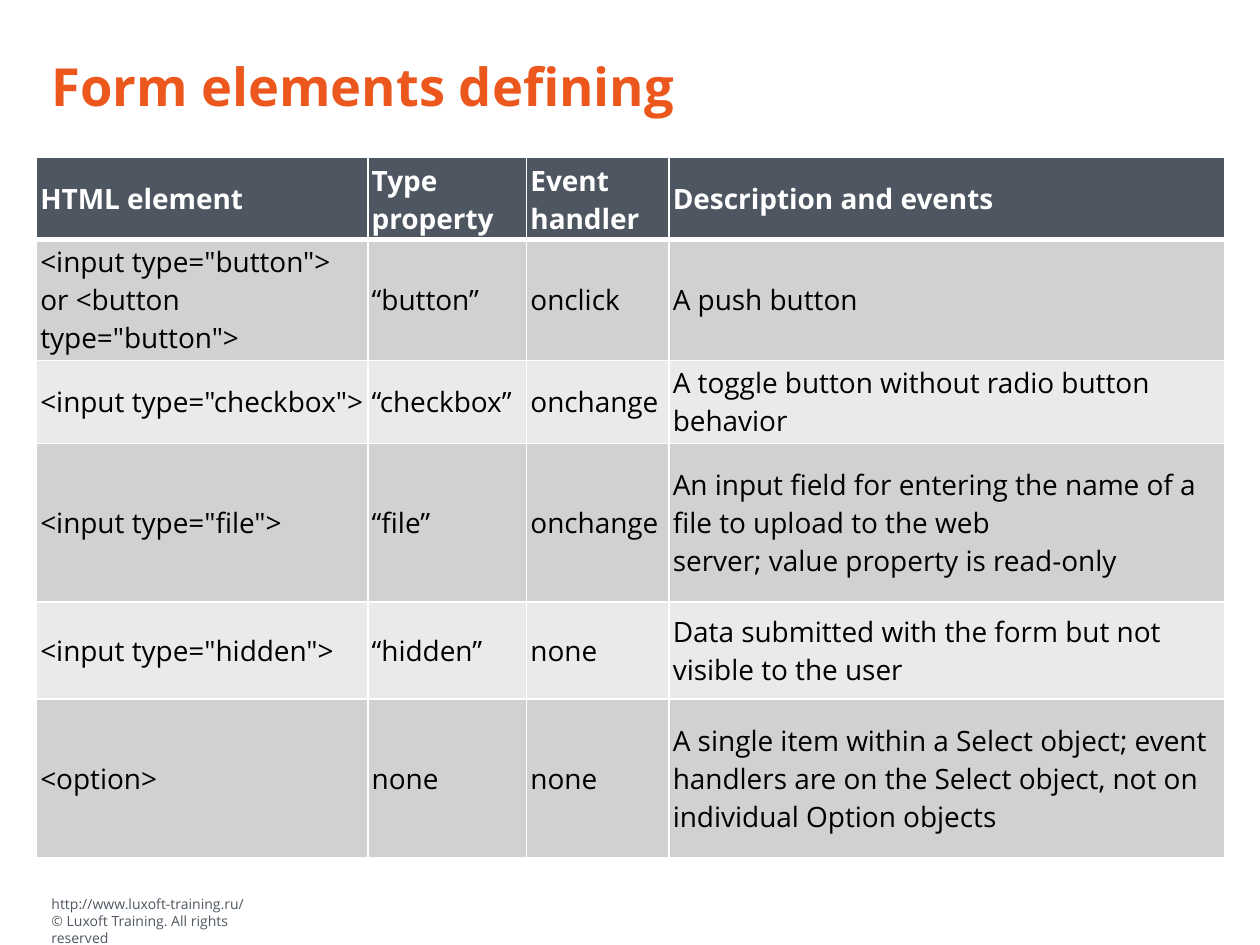
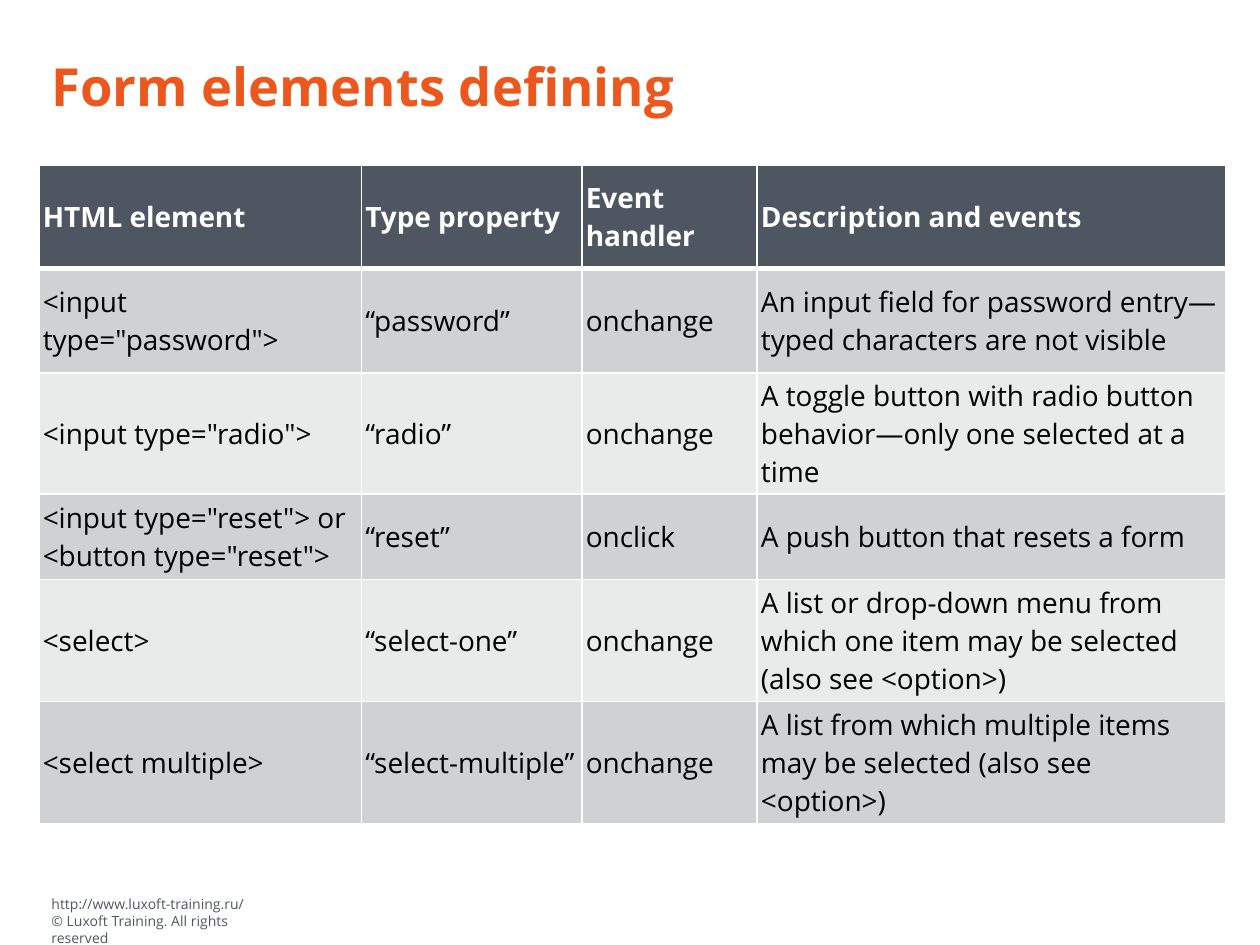
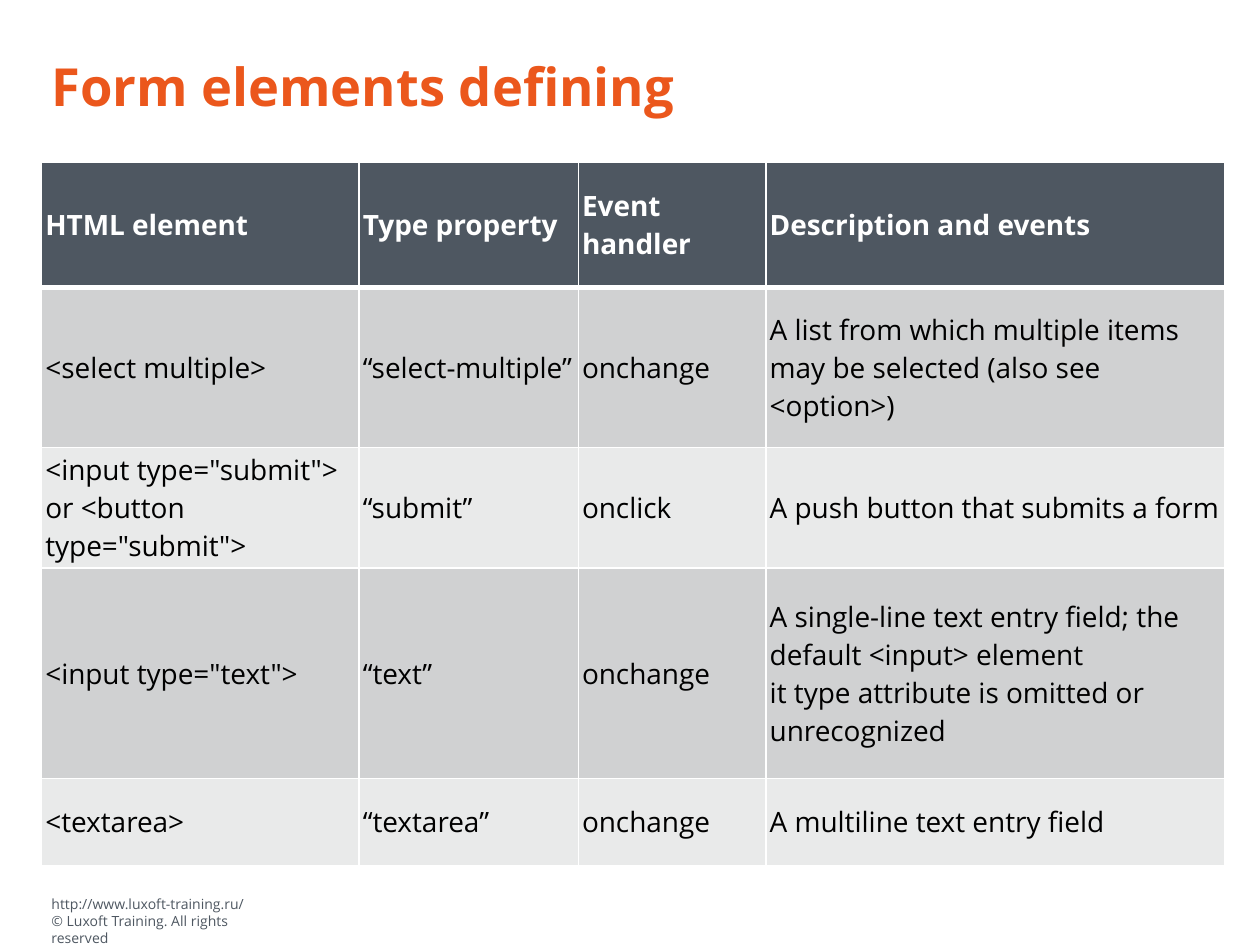
import pptx
import pptx.dml.color
import pptx.enum.text
import pptx.oxml
import pptx.oxml.ns
import pptx.util

Inches = pptx.util.Inches
Pt = pptx.util.Pt

COLORS = {
    "orange": "EB571C",
    "slate": "4E5761",
    "white": "FFFFFF",
    "black": "000000",
    "dark_band": "D0D1D2",
    "light_band": "E9EAEA",
}
FONT = "Open Sans"
NO_BREAK_SPACE = chr(160)
TITLE = "Form elements defining"
FOOTER = ["http://www.luxoft-training.ru/", "© Luxoft Training. All rights reserved"]
HEADER = ["HTML element", "Type property", "Event handler", "Description and events"]
TITLE_FORMAT = {"size": Pt(30), "bold": True, "color": "orange"}
FOOTER_FORMAT = {"size": Pt(8), "bold": False, "color": "slate"}
HEADER_FORMAT = {"size": Pt(16), "bold": True, "color": "white"}
BODY_FORMAT = {"size": Pt(16), "bold": False, "color": "black"}
CELL_LAYOUT = {
    "margin_left": Inches(0.03),
    "margin_right": Inches(0.03),
    "margin_top": Inches(0.03),
    "margin_bottom": Inches(0.03),
    "vertical_anchor": pptx.enum.text.MSO_ANCHOR.MIDDLE,
}

TABLES = [
    {
        "position": (0.29, 1.25),
        "columns": [2.63, 1.26, 1.13, 4.41],
        "rows": [0.65, 0.96, 0.66, 1.26, 0.77, 1.26],
        "body": [
            ['<input type="button"> or <button type="button">', "“button”", "onclick", "A push button"],
            ['<input type="checkbox">', "“checkbox”", "onchange",
             "A toggle button without radio button behavior"],
            ['<input type="file">', "“file”", "onchange",
             "An input field for entering the name of a file to upload to the web "
             f"server;{NO_BREAK_SPACE}value{NO_BREAK_SPACE}property is read-only"],
            ['<input type="hidden">', "“hidden”", "none",
             "Data submitted with the form but not visible to the user"],
            ["<option>", "none", "none",
             "A single item within a Select object; event handlers are on the Select object, "
             "not on individual Option objects"],
        ],
    },
    {
        "position": (0.31, 1.31),
        "columns": [2.56, 1.75, 1.39, 3.72],
        "rows": [0.82, 0.83, 0.96, 0.68, 0.97, 0.97],
        "body": [
            ['<input type="password">', "“password”", "onchange",
             "An input field for password entry—typed characters are not visible"],
            ['<input type="radio">', "“radio”", "onchange",
             "A toggle button with radio button behavior—only one selected at a time"],
            ['<input type="reset"> or <button type="reset">', "“reset”", "onclick",
             "A push button that resets a form"],
            ["<select>", "“select-one”", "onchange",
             "A list or drop-down menu from which one item may be selected (also see <option>)"],
            ["<select multiple>", "“select-multiple”", "onchange",
             "A list from which multiple items may be selected (also see <option>)"],
        ],
    },
    {
        "position": (0.33, 1.29),
        "columns": [2.52, 1.74, 1.49, 3.64],
        "rows": [0.99, 1.27, 0.96, 1.67, 0.69],
        "body": [
            ["<select multiple>", "“select-multiple”", "onchange",
             "A list from which multiple items may be selected (also see <option>)"],
            ['<input type="submit"> or <button type="submit">', "“submit”", "onclick",
             "A push button that submits a form"],
            ['<input type="text">', "“text”", "onchange",
             "A single-line text entry field; the default <input> element "
             f"it{NO_BREAK_SPACE}type{NO_BREAK_SPACE}attribute is omitted or unrecognized"],
            ["<textarea>", "“textarea”", "onchange", "A multiline text entry field"],
        ],
    },
]


def write_text(text_frame, lines, text_format):
    text_frame.word_wrap = True
    text_frame.text = "\n".join(lines)
    for paragraph in text_frame.paragraphs:
        for run in paragraph.runs:
            run.font.name = FONT
            run.font.size = text_format["size"]
            run.font.bold = text_format["bold"]
            run.font.color.rgb = pptx.dml.color.RGBColor.from_string(COLORS[text_format["color"]])


def style_cell(cell, fill_color, border_widths):
    for name, value in CELL_LAYOUT.items():
        setattr(cell, name, value)
    properties = cell._tc.get_or_add_tcPr()
    for side, width in border_widths.items():
        properties.append(pptx.oxml.parse_xml(
            f'<a:ln{side} {pptx.oxml.ns.nsdecls("a")} w="{Pt(width)}"><a:solidFill>'
            f'<a:srgbClr val="{COLORS["white"]}"/></a:solidFill></a:ln{side}>'
        ))
    cell.fill.solid()
    cell.fill.fore_color.rgb = pptx.dml.color.RGBColor.from_string(COLORS[fill_color])


presentation = pptx.Presentation()
presentation.slide_width = Inches(10)
presentation.slide_height = Inches(7.5)

for content in TABLES:
    slide = presentation.slides.add_slide(presentation.slide_layouts[6])

    footer = slide.shapes.add_textbox(Inches(0.31), Inches(7.06), Inches(2.03), Inches(0.37))
    write_text(footer.text_frame, FOOTER, FOOTER_FORMAT)

    title = slide.shapes.add_textbox(Inches(0.31), Inches(0.4), Inches(9.4), Inches(0.55))
    title.text_frame.vertical_anchor = pptx.enum.text.MSO_ANCHOR.MIDDLE
    write_text(title.text_frame, [TITLE], TITLE_FORMAT)

    left, top = content["position"]
    rows = [HEADER] + content["body"]
    table = slide.shapes.add_table(
        len(rows), len(HEADER), Inches(left), Inches(top),
        Inches(sum(content["columns"])), Inches(sum(content["rows"])),
    ).table
    for column, width in zip(table.columns, content["columns"]):
        column.width = Inches(width)
    for row, height in zip(table.rows, content["rows"]):
        row.height = Inches(height)

    for row_index, values in enumerate(rows):
        is_header = row_index == 0
        band = "dark_band" if row_index % 2 else "light_band"
        borders = {"L": 1, "R": 1, "T": 3 if row_index == 1 else 1, "B": 3 if is_header else 1}
        for column_index, value in enumerate(values):
            cell = table.cell(row_index, column_index)
            write_text(cell.text_frame, [value], HEADER_FORMAT if is_header else BODY_FORMAT)
            style_cell(cell, "slate" if is_header else band, borders)

presentation.save("out.pptx")
